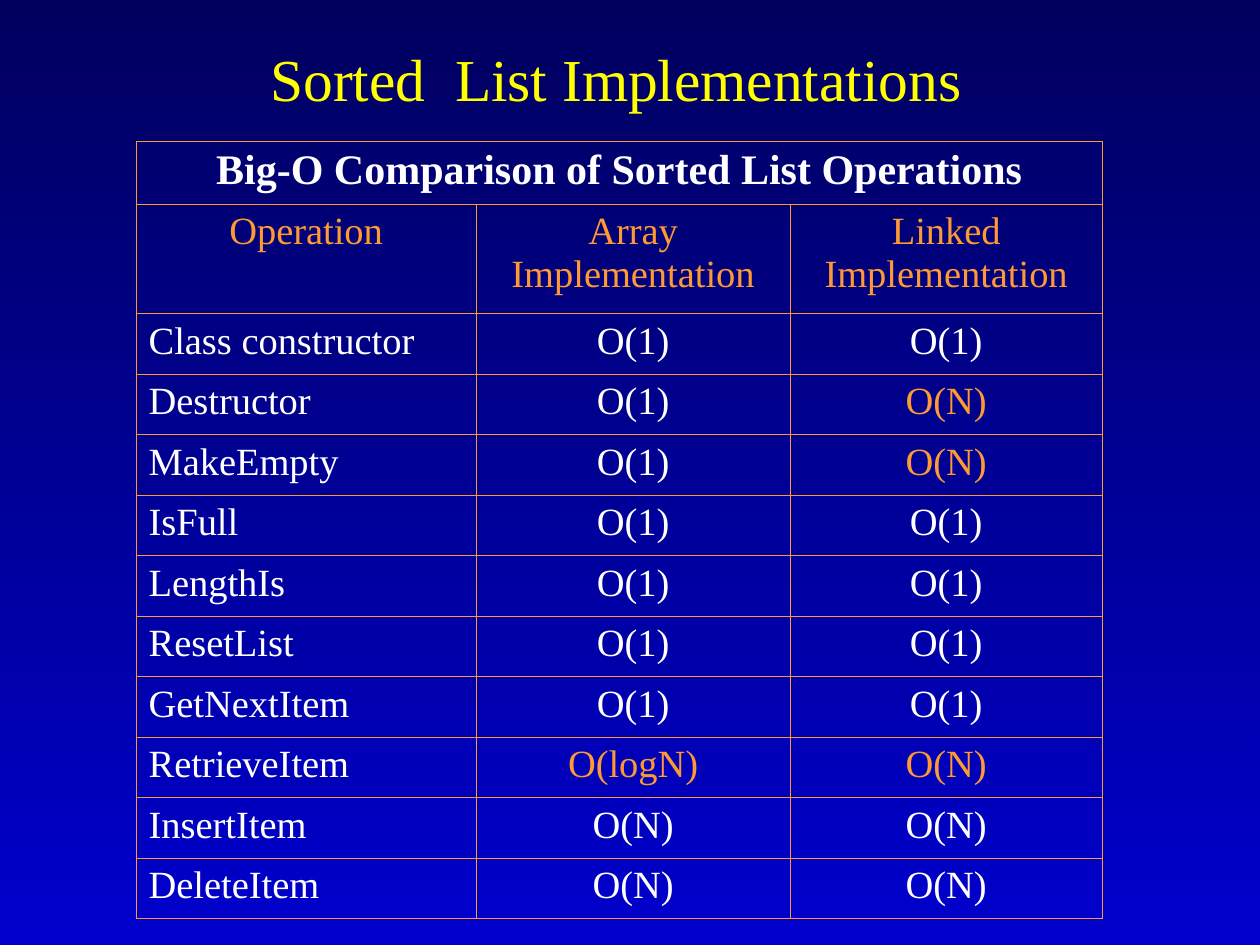
"""Build a slide comparing sorted list operations in Big-O terms."""
from lxml.etree import SubElement
from pptx import Presentation
from pptx.dml.color import RGBColor
from pptx.enum.text import MSO_ANCHOR, PP_ALIGN
from pptx.oxml.ns import qn
from pptx.util import Inches, Pt

FONT = "Times New Roman"
COLORS = {
    "top": "00005E",
    "bottom": "0000CC",
    "title": "FFFF00",
    "text": "FFFFFF",
    "accent": "FF9933",
}
TITLE = "Sorted  List Implementations"
CAPTION = "Big-O Comparison of Sorted List Operations"
HEADERS = ("Operation", "Array Implementation", "Linked Implementation")
OPERATIONS = [
    ("Class constructor", "O(1)", "O(1)"),
    ("Destructor", "O(1)", "O(N)"),
    ("MakeEmpty", "O(1)", "O(N)"),
    ("IsFull", "O(1)", "O(1)"),
    ("LengthIs", "O(1)", "O(1)"),
    ("ResetList", "O(1)", "O(1)"),
    ("GetNextItem", "O(1)", "O(1)"),
    ("RetrieveItem", "O(logN)", "O(N)"),
    ("InsertItem", "O(N)", "O(N)"),
    ("DeleteItem", "O(N)", "O(N)"),
]
HIGHLIGHTS = {("Destructor", 2), ("MakeEmpty", 2), ("RetrieveItem", 1), ("RetrieveItem", 2)}
COLUMN_WIDTHS = (2.7, 2.49, 2.48)
ROW_HEIGHTS = (0.5, 0.87) + (0.48,) * len(OPERATIONS)
BORDER_WIDTH = Pt(0.45)


def color(name):
    return RGBColor.from_string(COLORS[name])


def write(frame, text, size, color_name, align=PP_ALIGN.CENTER, bold=False):
    paragraph = frame.paragraphs[0]
    paragraph.text = text
    paragraph.alignment = align
    font = paragraph.font
    font.name, font.size, font.bold = FONT, Pt(size), bold
    font.color.rgb = color(color_name)


def outline(cell):
    cell.fill.background()
    properties = cell._tc.get_or_add_tcPr()
    for index, side in enumerate(("lnL", "lnR", "lnT", "lnB")):
        line = SubElement(properties, qn(f"a:{side}"), w=str(BORDER_WIDTH))
        fill = SubElement(line, qn("a:solidFill"))
        SubElement(fill, qn("a:srgbClr"), val=COLORS["accent"])
        properties.insert(index, line)


def paint_background(page):
    fill = page.background.fill
    fill.gradient()
    fill.gradient_angle = 270
    for stop, name, position in zip(fill.gradient_stops, ("top", "bottom"), (0, 1)):
        stop.color.rgb = color(name)
        stop.position = position


def add_title(page):
    box = page.shapes.add_textbox(Inches(0.6), Inches(0.33), Inches(8.58), Inches(0.58))
    box.text_frame.word_wrap = True
    box.text_frame.vertical_anchor = MSO_ANCHOR.MIDDLE
    write(box.text_frame, TITLE, 34, "title")


def add_comparison(page):
    table = page.shapes.add_table(
        len(ROW_HEIGHTS), len(COLUMN_WIDTHS), Inches(1.08), Inches(1.12),
        Inches(sum(COLUMN_WIDTHS)), Inches(sum(ROW_HEIGHTS)),
    ).table
    table.horz_banding = False
    for column, width in zip(table.columns, COLUMN_WIDTHS):
        column.width = Inches(width)
    for row, height in zip(table.rows, ROW_HEIGHTS):
        row.height = Inches(height)
    for cell in table.iter_cells():
        outline(cell)

    table.cell(0, 0).merge(table.cell(0, len(COLUMN_WIDTHS) - 1))
    write(table.cell(0, 0).text_frame, CAPTION, 24, "text", bold=True)
    for column, header in enumerate(HEADERS):
        write(table.cell(1, column).text_frame, header, 22, "accent")
    for row, operation in enumerate(OPERATIONS, start=2):
        for column, text in enumerate(operation):
            name = "accent" if (operation[0], column) in HIGHLIGHTS else "text"
            align = PP_ALIGN.CENTER if column else PP_ALIGN.LEFT
            write(table.cell(row, column).text_frame, text, 22, name, align)


def main():
    deck = Presentation()
    deck.slide_width, deck.slide_height = Inches(10), Inches(7.5)
    page = deck.slides.add_slide(deck.slide_layouts[6])
    paint_background(page)
    add_title(page)
    add_comparison(page)
    deck.save("out.pptx")


if __name__ == "__main__":
    main()
